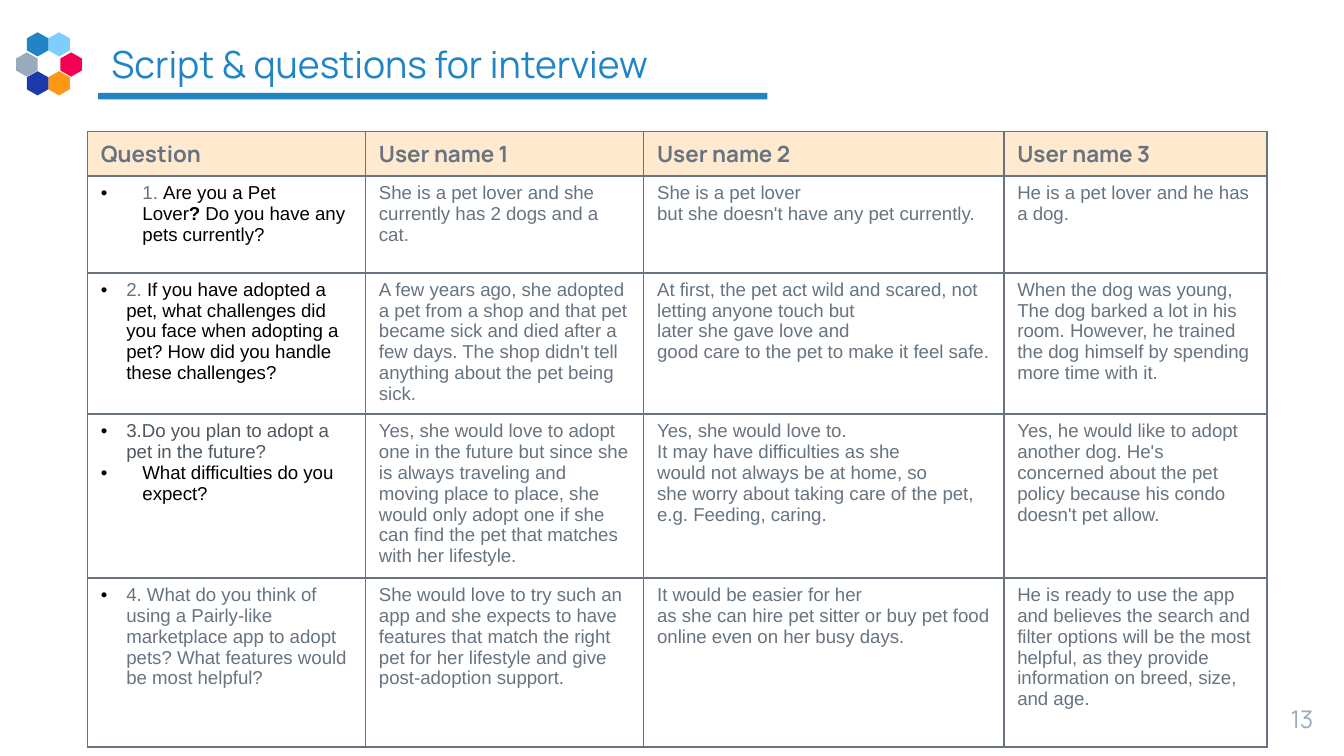
from lxml import etree
from pptx import Presentation
from pptx.dml.color import RGBColor
from pptx.enum.shapes import MSO_SHAPE
from pptx.enum.text import MSO_ANCHOR, PP_ALIGN
from pptx.oxml.ns import qn
from pptx.util import Inches, Pt

RECTANGLE = MSO_SHAPE.RECTANGLE
TOP, MIDDLE = MSO_ANCHOR.TOP, MSO_ANCHOR.MIDDLE
LEFT, RIGHT = PP_ALIGN.LEFT, PP_ALIGN.RIGHT

BLUE = RGBColor(0x21, 0x85, 0xC5)
SKY = RGBColor(0x7E, 0xCE, 0xFD)
SILVER = RGBColor(0x97, 0xAB, 0xBC)
RED = RGBColor(0xF2, 0x02, 0x53)
ORANGE = RGBColor(0xFF, 0x97, 0x15)
NAVY = RGBColor(0x1C, 0x3A, 0xA9)
GREY = RGBColor(0x67, 0x74, 0x80)
DARK_GREY = RGBColor(0x4D, 0x57, 0x60)
BLACK = RGBColor(0, 0, 0)
PEACH = RGBColor(0xFF, 0xEA, 0xD0)

HEXAGONS = [(0.36, 0.24, SKY), (0.20, 0.24, BLUE), (0.12, 0.39, SILVER),
            (0.45, 0.39, RED), (0.36, 0.53, ORANGE), (0.20, 0.53, NAVY)]
HEX_WIDTH, HEX_HEIGHT = 0.16, 0.18

COLUMN_WIDTHS = [2.07, 2.07, 2.68, 1.96]
ROW_HEIGHTS = [0.33, 0.72, 1.03, 1.19, 1.26]
HEADERS = ["Question", "User name 1", "User name 2", "User name 3"]
NARROW, WIDE = 0.19, 0.31


def glue(*phrases):
    """Join phrases with plain spaces; lines never break inside a phrase."""
    return " ".join(phrase.replace(" ", chr(160)) for phrase in phrases)


# One entry per row; each paragraph is (indent, [(text, colour, bold), ...]).
QUESTIONS = [
    [(WIDE, [(glue("1. "), GREY, False),
             ("Are you a Pet Lover", BLACK, False),
             ("?", BLACK, True),
             (glue(" Do", "you", "have", "any", "pets", "currently?"), BLACK, False)])],
    [(NARROW, [(glue("2. "), GREY, False),
               ("If you have adopted a pet, what challenges did you face when "
                "adopting a " + glue("pet? How") + " did you handle these challenges?",
                BLACK, False)])],
    [(NARROW, [("3.Do you plan to adopt a pet in the future?",
                DARK_GREY, False)]),
     (WIDE, [("What difficulties do you expect?", BLACK, False)])],
    [(NARROW, [(glue("4. What") + " do you think of using a Pairly-like marketplace "
                "app to adopt " + glue("pets? What") + " features would be most helpful?",
                GREY, False)])],
]

# One entry per row; each answer is a list of paragraphs.
ANSWERS = [
    [["She is a pet lover and she currently has 2 dogs and a cat."],
     [glue("She is a pet lover", "but she doesn't have any pet currently.")],
     ["He is a pet lover and he has a dog."]],
    [["A few years ago, she adopted a pet from a shop and that pet became "
      "sick and died after a few days. The shop didn't tell anything about "
      "the pet being sick."],
     [glue("At first, the pet act wild and scared, not",
           "letting anyone touch but", "later she gave love and",
           "good care to the pet to make it feel safe.")],
     ["When the dog was young, The dog barked a lot in his room. However, he "
      "trained the dog himself by spending more time with it."]],
    [["Yes, she would love to adopt one in the future but since she is always "
      "traveling and moving place to place, she would only adopt one if she "
      "can find the pet that matches with her lifestyle."],
     ["Yes, she would love to.",
      glue("It may have difficulties as she",
           "would not always be at home, so",
           "she worry about taking care of the pet,",
           "e.g. Feeding, caring.")],
     ["Yes, he would like to adopt another dog. He's concerned about the pet "
      "policy because his condo doesn't pet allow."]],
    [["She would love to try such an app and she expects to have features "
      "that match the right pet for her lifestyle and give post-adoption "
      "support."],
     [glue("It would be easier for her",
           "as she can hire pet sitter or buy pet food",
           "online even on her busy days.")],
     ["He is ready to use the app and believes the search and filter options "
      "will be the most helpful, as they provide information on breed, size, "
      "and age."]],
]


def add_text(p, text, size=10, color=GREY, font="Arial", bold=False):
    r = p.add_run()
    r.text = text
    r.font.size = Pt(size)
    r.font.name = font
    r.font.bold = bold
    r.font.color.rgb = color


def add_text_box(s, box, text, anchor=TOP, align=LEFT, **text_format):
    tf = s.shapes.add_textbox(*map(Inches, box)).text_frame
    tf.word_wrap = True
    tf.vertical_anchor = anchor
    tf.margin_left = tf.margin_right = Inches(0.1)
    tf.margin_top = tf.margin_bottom = Inches(0.1)
    p = tf.paragraphs[0]
    p.alignment = align
    add_text(p, text, font="Manrope", **text_format)


def paint(sp, color):
    sp.shadow.inherit = False
    sp.fill.solid()
    sp.fill.fore_color.rgb = color
    sp.line.fill.background()


def add_hexagon(s, left, top, color):
    x = [Inches(left + HEX_WIDTH * part) for part in (0, 0.5, 1)]
    y = [Inches(top + HEX_HEIGHT * part) for part in (0, 0.25, 0.75, 1)]
    builder = s.shapes.build_freeform(x[1], y[0])
    builder.add_line_segments(
        [(x[2], y[1]), (x[2], y[2]), (x[1], y[3]), (x[0], y[2]), (x[0], y[1])],
        close=True)
    paint(builder.convert_to_shape(), color)


def add_bullet(p, indent):
    pPr = p._p.get_or_add_pPr()
    pPr.set("marL", str(Inches(indent)))
    pPr.set("indent", str(-Inches(indent)))
    bullet_color = etree.SubElement(pPr, qn("a:buClr"))
    etree.SubElement(bullet_color, qn("a:srgbClr"), val=str(BLACK))
    etree.SubElement(pPr, qn("a:buFont"), typeface="Arial")
    etree.SubElement(pPr, qn("a:buChar"), char="•")


def style_cell(cell, fill=None):
    """Set the margin, borders and fill, in the order the file format needs."""
    cell.margin_bottom = 0
    tcPr = cell._tc.get_or_add_tcPr()
    for side in ("a:lnL", "a:lnR", "a:lnT", "a:lnB"):
        border = etree.SubElement(tcPr, qn(side), w=str(Pt(1)))
        solid = etree.SubElement(border, qn("a:solidFill"))
        etree.SubElement(solid, qn("a:srgbClr"), val=str(GREY))
    if fill is None:
        cell.fill.background()
    else:
        cell.fill.solid()
        cell.fill.fore_color.rgb = fill


def cell_paragraphs(cell, count):
    """Return count paragraphs whose end marks are as small as their text."""
    tf = cell.text_frame
    for _ in range(count - 1):
        tf.add_paragraph()
    for p in tf.paragraphs:
        etree.SubElement(p._p, qn("a:endParaRPr"), sz="1000")
    return tf.paragraphs


def fill_question(cell, paragraphs):
    style_cell(cell)
    for p, (indent, runs) in zip(cell_paragraphs(cell, len(paragraphs)), paragraphs):
        add_bullet(p, indent)
        for text, color, bold in runs:
            add_text(p, text, color=color, bold=bold)


def fill_answer(cell, paragraphs):
    style_cell(cell)
    for p, text in zip(cell_paragraphs(cell, len(paragraphs)), paragraphs):
        add_text(p, text)


def add_interview_table(s):
    frame = s.shapes.add_table(
        len(ROW_HEIGHTS), len(COLUMN_WIDTHS), Inches(0.65), Inches(0.98),
        Inches(sum(COLUMN_WIDTHS)), Inches(sum(ROW_HEIGHTS)))
    table = frame.table
    table.first_row = table.horz_banding = False
    for column, width in zip(table.columns, COLUMN_WIDTHS):
        column.width = Inches(width)
    for row, height in zip(table.rows, ROW_HEIGHTS):
        row.height = Inches(height)
    for i, header in enumerate(HEADERS):
        cell = table.cell(0, i)
        style_cell(cell, PEACH)
        add_text(cell.text_frame.paragraphs[0], header, size=12,
                 font="Manrope", bold=True)
    for i, (question, answers) in enumerate(zip(QUESTIONS, ANSWERS), start=1):
        fill_question(table.cell(i, 0), question)
        for j, answer in enumerate(answers, start=1):
            fill_answer(table.cell(i, j), answer)


def main():
    prs = Presentation()
    prs.slide_width, prs.slide_height = Inches(10), Inches(5.625)
    s = prs.slides.add_slide(prs.slide_layouts[6])
    underline = s.shapes.add_shape(
        RECTANGLE, Inches(0.73), Inches(0.69), Inches(4.98), Inches(0.05))
    paint(underline, BLUE)
    for left, top, color in HEXAGONS:
        add_hexagon(s, left, top, color)
    add_text_box(s, (0.73, 0.25, 8.55, 0.44), "Script & questions for interview",
                 anchor=MIDDLE, size=20, color=BLUE)
    add_text_box(s, (9.27, 5.14, 0.6, 0.34), "13", align=RIGHT, size=13, color=SILVER)
    add_interview_table(s)
    prs.save("out.pptx")


if __name__ == "__main__":
    main()
